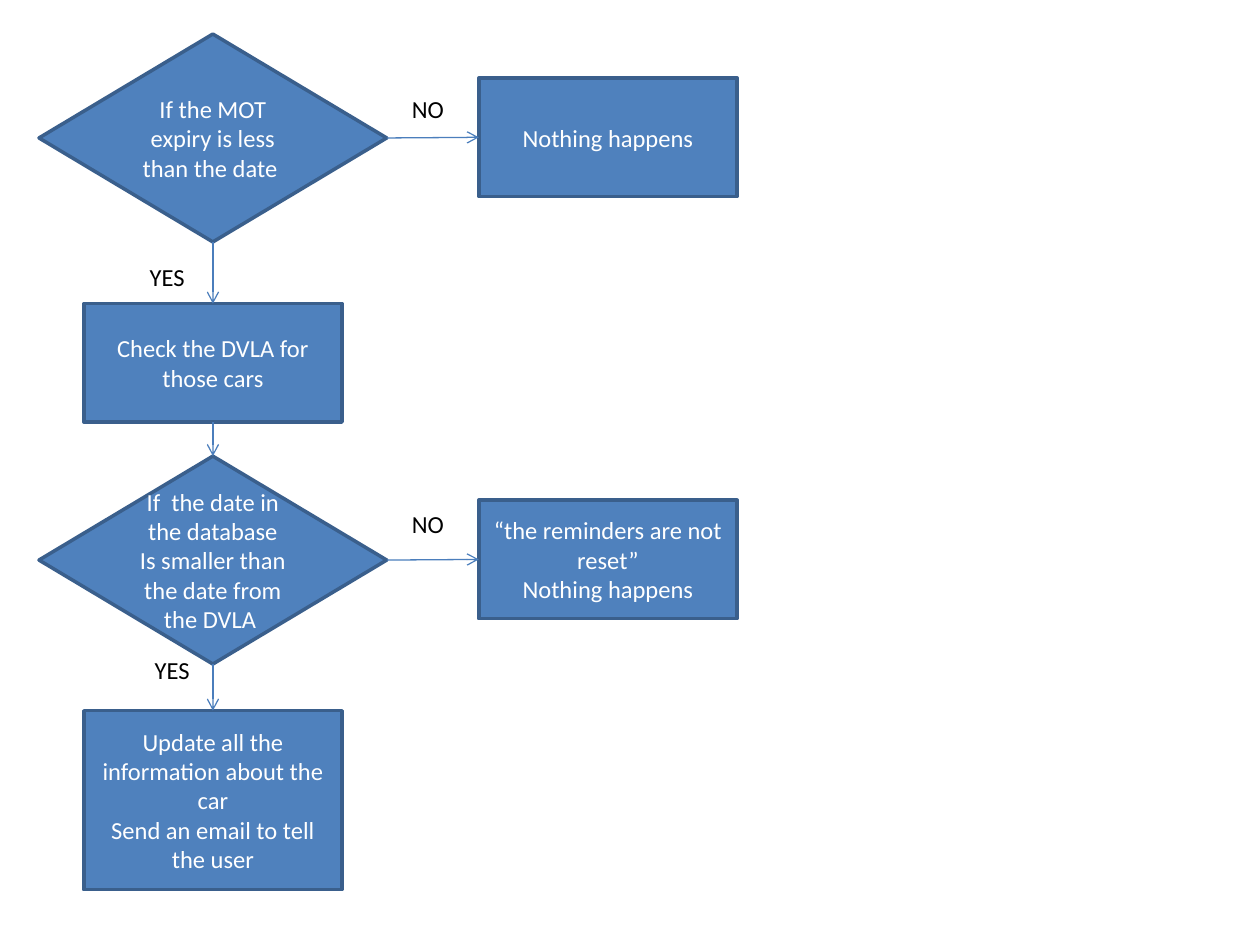
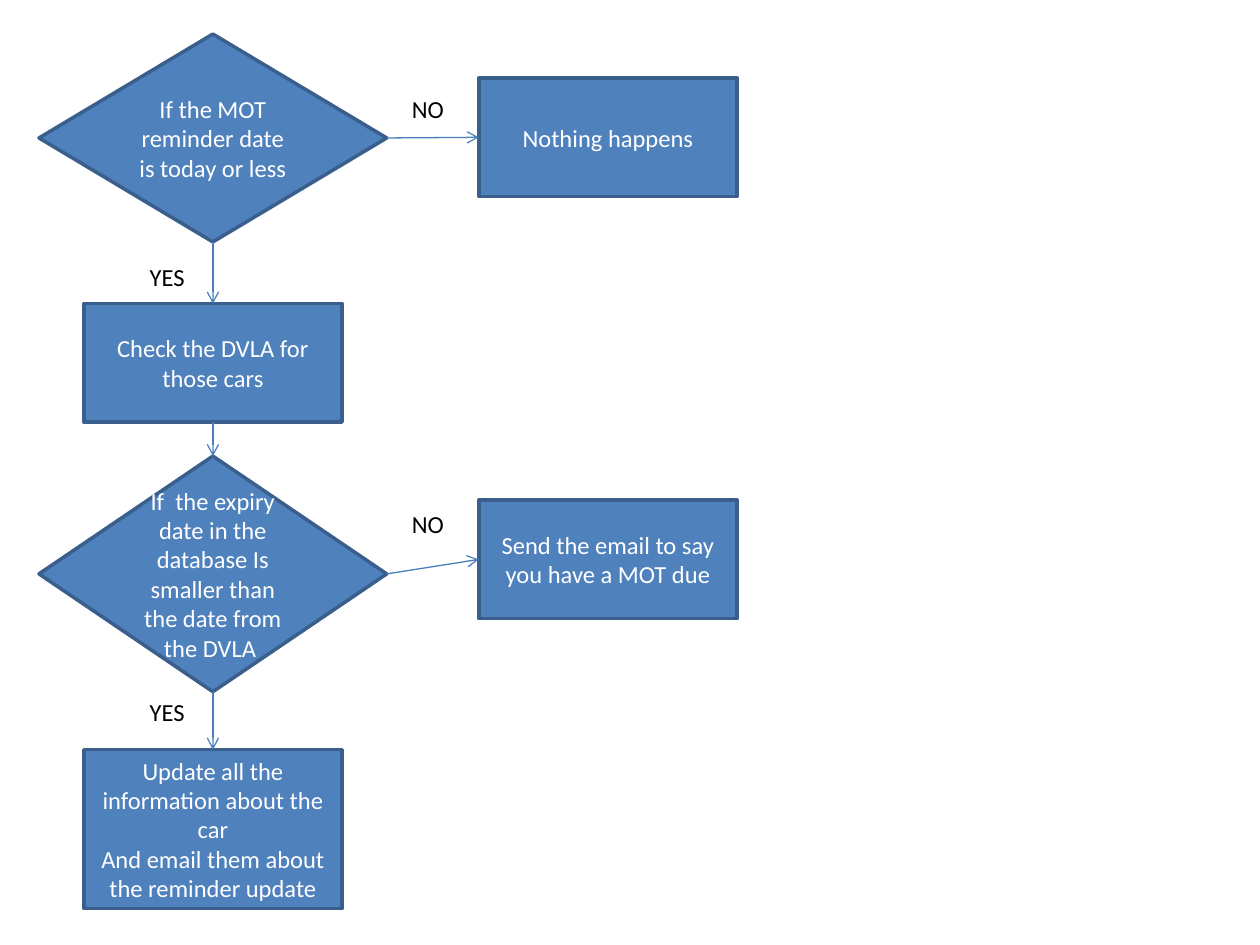
from pptx import Presentation
from pptx import util as u
from pptx.dml.color import RGBColor
from pptx.enum import shapes, text
from pptx.oxml import ns
from lxml import etree

HUES = {"fill": "4F81BD", "edge": "3A5F8C", "arrow": "4B7EBC",
        "light": "FFFFFF", "dark": "000000"}
FONT = "Calibri"
KINDS = shapes.MSO_SHAPE
TOP, LEFT, BASE, RIGHT = range(4)
ASK_W, STEP_W, STEP_H = 2.76, 2.05, 0.94
INDENT = (ASK_W - STEP_W) / 2
NO_X, NO_Y = 3.49, 0.35


def hue(name):
    """Return the named colour."""
    return RGBColor.from_string(HUES[name])


def write(frame, lines, color, align):
    """Fill a text frame with one paragraph for each line."""
    frame.word_wrap = True
    frame.text = "\n".join(lines)
    for para in frame.paragraphs:
        para.alignment = align
        para.font.size = u.Pt(14)
        para.font.name = FONT
        para.font.color.rgb = hue(color)


def node(slide, kind, box, lines):
    """Draw a filled flowchart shape in the box."""
    shape = slide.shapes.add_shape(kind, *map(u.Inches, box))
    shape.shadow.inherit = False
    shape.fill.solid()
    shape.fill.fore_color.rgb = hue("fill")
    shape.line.color.rgb = hue("edge")
    shape.line.width = u.Pt(2)
    shape.text_frame.vertical_anchor = text.MSO_ANCHOR.MIDDLE
    write(shape.text_frame, lines, "light", text.PP_ALIGN.CENTER)
    return shape


def label(slide, left, top, word):
    """Write the answer beside an arrow."""
    box = slide.shapes.add_textbox(*map(u.Inches, (left, top, 0.54, 0.34)))
    write(box.text_frame, [word], "dark", text.PP_ALIGN.LEFT)
    box.text_frame.auto_size = text.MSO_AUTO_SIZE.SHAPE_TO_FIT_TEXT


def arrow(slide, start, out, end, into):
    """Join two nodes with an open arrow."""
    link = slide.shapes.add_connector(shapes.MSO_CONNECTOR.STRAIGHT, 0, 0, 0, 0)
    link.begin_connect(start, out)
    link.end_connect(end, into)
    link.line.color.rgb = hue("arrow")
    link.line.width = u.Pt(0.75)
    etree.SubElement(link.line._get_or_add_ln(), ns.qn("a:tailEnd"), type="arrow")
    etree.SubElement(link._element.spPr, ns.qn("a:effectLst"))


def choice(slide, box, ask, no, no_top):
    """Draw a decision with its NO branch to the right."""
    left, top = box[:2]
    test = node(slide, KINDS.FLOWCHART_DECISION, box, [ask])
    side = node(slide, KINDS.FLOWCHART_PROCESS,
                (left + NO_X, top + NO_Y, STEP_W, STEP_H), no)
    arrow(slide, test, RIGHT, side, LEFT)
    label(slide, left + 2.86, top + no_top, "NO")
    return test


def flow(slide, left, top, first, second, last):
    """Draw two decisions, each followed by a step, down one column."""
    ask, no = first
    start = choice(slide, (left, top, ASK_W, 1.65), ask, no, 0.43)
    check = node(slide, KINDS.FLOWCHART_PROCESS,
                 (left + INDENT, top + 2.14, STEP_W, STEP_H),
                 ["Check the DVLA for those cars"])
    ask, no, high = second
    test = choice(slide, (left, top + 3.35, ASK_W, high), ask, no, 0.37)
    lines, drop, tall, yes_x, yes_y = last
    end = node(slide, KINDS.FLOWCHART_PROCESS,
               (left + INDENT, top + drop, STEP_W, tall), lines)
    for upper, lower in ((start, check), (check, test), (test, end)):
        arrow(slide, upper, BASE, lower, TOP)
    label(slide, left + 0.78, top + 1.76, "YES")
    label(slide, left + yes_x, top + yes_y, "YES")


FLOWS = [
    (("If the MOT expiry is less than the date ", ["Nothing happens"]),
     ("If  the date in the database Is smaller than the date from the DVLA ",
      ["“the reminders are not reset”", "Nothing happens"], 1.65),
     (["Update all the information about the car",
       "Send an email to tell the user"], 5.37, 1.42, 0.82, 4.88)),
    (("If the MOT reminder date is today or less", ["Nothing happens"]),
     ("If  the expiry date in the database Is smaller than the date from the DVLA ",
      ["Send the email to say you have a MOT due"], 1.87),
     (["Update all the information about the car",
       "And email them about the reminder update"], 5.68, 1.26, 0.78, 5.21)),
]


def main():
    """Build and save the deck."""
    deck = Presentation()
    deck.slide_width, deck.slide_height = u.Inches(10), u.Inches(7.5)
    for parts in FLOWS:
        slide = deck.slides.add_slide(deck.slide_layouts[6])
        flow(slide, 0.31, 0.27, *parts)
    deck.save("out.pptx")


main()
